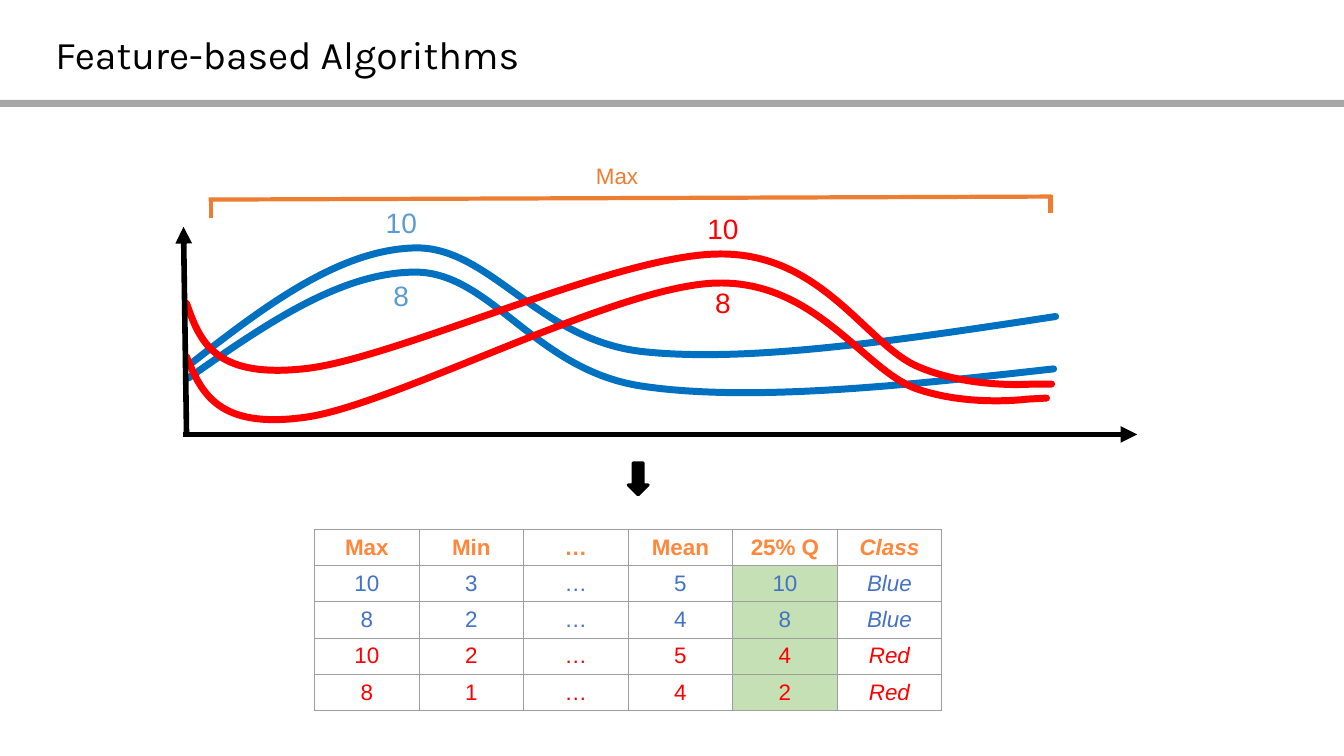
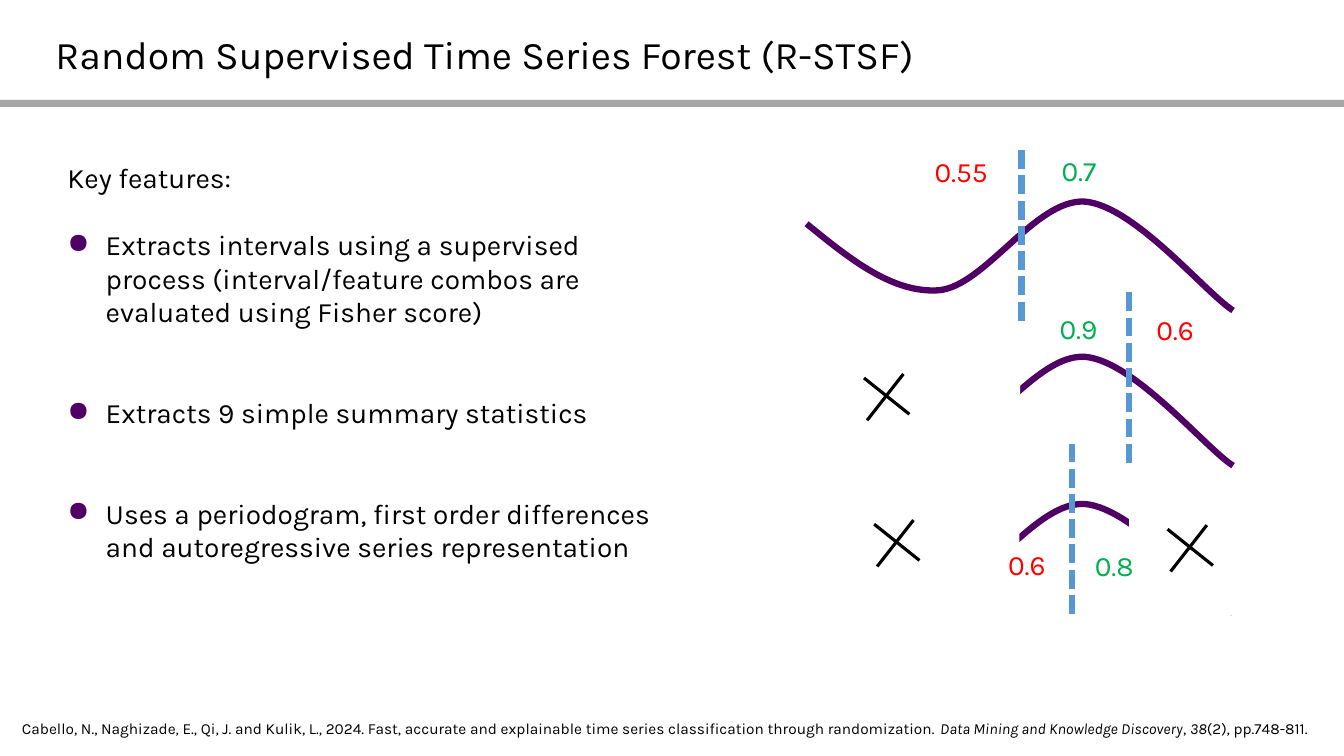
from lxml.etree import SubElement
from pptx import Presentation
from pptx.dml.color import RGBColor
from pptx.enum.dml import MSO_LINE
from pptx.enum.shapes import MSO_CONNECTOR, MSO_SHAPE
from pptx.enum.text import MSO_ANCHOR, MSO_AUTO_SIZE, PP_ALIGN
from pptx.oxml.ns import qn
from pptx.util import Inches, Pt

BLACK, WHITE, GREY, GRID = "000000", "FFFFFF", "A6A6A6", "9E9E9E"
BLUE, PALE_BLUE, TABLE_BLUE, DASH_BLUE = "0070C0", "5B9BD5", "4472C4", "5698D3"
RED, GREEN, PURPLE = "FF0000", "00B050", "500064"
ORANGE, HEADER_ORANGE, HIGHLIGHT = "ED7D31", "FF873C", "C5E0B4"

TITLE_TEXT = {"name": "Karla", "size": Pt(28), "bold": False}
BODY_TEXT = {"name": "Karla", "size": Pt(20)}
CITATION_TEXT = {"name": "Karla", "size": Pt(11)}
PEAK_TEXT = {"name": "Arial", "size": Pt(20)}
SMALL_TEXT = {"name": "Arial", "size": Pt(16)}


def rgb(value):
    return RGBColor.from_string(value)


def apply(target, values):
    for name, value in values.items():
        setattr(target, name, value)


def write(para, text, style, color=BLACK, **extra):
    span = para.add_run()
    span.text = text
    apply(span.font, {**style, **extra})
    span.font.color.rgb = rgb(color)


def indent(para, left, first=0):
    properties = para._p.get_or_add_pPr()
    properties.set("marL", str(Inches(left)))
    properties.set("indent", str(Inches(first)))
    return properties


def add_bullet(para, color):
    properties = indent(para, 0.5, -0.38)
    tint = SubElement(properties, qn("a:buClr"))
    SubElement(tint, qn("a:srgbClr")).set("val", color)
    SubElement(properties, qn("a:buChar")).set("char", "●")


def format_frame(frame, margin, anchor=MSO_ANCHOR.TOP):
    apply(frame, {
        "word_wrap": True, "auto_size": MSO_AUTO_SIZE.NONE, "vertical_anchor": anchor,
        "margin_left": Inches(margin), "margin_right": Inches(margin),
        "margin_top": Inches(margin), "margin_bottom": Inches(margin),
    })


def add_text_box(page, left, top, width, height, margin=0.1):
    box = page.shapes.add_textbox(Inches(left), Inches(top), Inches(width), Inches(height))
    format_frame(box.text_frame, margin)
    return box.text_frame


def add_block(page, kind, left, top, width, height, color):
    block = page.shapes.add_shape(
        kind, Inches(left), Inches(top), Inches(width), Inches(height))
    block.shadow.inherit = False
    block.fill.solid()
    block.fill.fore_color.rgb = rgb(color)
    block.line.fill.background()
    return block


def format_line(line, color, width):
    line.color.rgb = rgb(color)
    line.width = Pt(width)


def add_line(page, start, end, color, width, arrow=False, dashed=False):
    line = page.shapes.add_connector(
        MSO_CONNECTOR.STRAIGHT, *(Inches(value) for value in (*start, *end)))
    format_line(line.line, color, width)
    if dashed:
        line.line.dash_style = MSO_LINE.SQUARE_DOT
    if arrow:
        SubElement(line.line._get_or_add_ln(), qn("a:tailEnd")).set("type", "triangle")
    SubElement(line.element.spPr, qn("a:effectLst"))


def add_curve(page, left, top, points, color, width, cap="flat"):
    places = [(Inches(left + x), Inches(top + y)) for x, y in points]
    builder = page.shapes.build_freeform(*places[0])
    builder.add_line_segments(places[1:], close=False)
    curve = builder.convert_to_shape()
    curve.shadow.inherit = False
    curve.fill.background()
    format_line(curve.line, color, width)
    curve.line._get_or_add_ln().set("cap", cap)
    outline = next(curve.element.iter(qn("a:path")))
    segments = outline.findall(qn("a:lnTo"))
    for index in range(0, len(segments), 3):
        bezier = SubElement(outline, qn("a:cubicBezTo"))
        for segment in segments[index:index + 3]:
            bezier.append(segment[0])
            outline.remove(segment)


def add_page(deck, title):
    page = deck.slides.add_slide(deck.slide_layouts[5])
    add_block(page, MSO_SHAPE.RECTANGLE, 0, 0.99, 13.33, 0.07, GREY)
    apply(page.shapes.title, {
        "left": Inches(0.45), "top": Inches(0.21),
        "width": Inches(12.42), "height": Inches(0.64),
    })
    frame = page.shapes.title.text_frame
    format_frame(frame, 0.1, MSO_ANCHOR.MIDDLE)
    frame.paragraphs[0].alignment = PP_ALIGN.LEFT
    write(frame.paragraphs[0], title, TITLE_TEXT)
    return page


def add_series_chart(page, left, top):
    series = [
        (BLUE, [(0.09, 2.11), (0.82, 1.54), (1.56, 0.98), (2.31, 0.96), (3.06, 0.94),
                (3.53, 1.88), (4.59, 1.99), (5.65, 2.1), (7.16, 1.87), (8.67, 1.64)]),
        (BLUE, [(0.07, 2.25), (0.83, 1.72), (1.59, 1.19), (2.34, 1.2), (3.08, 1.22),
                (3.51, 2.17), (4.56, 2.33), (5.62, 2.49), (7.13, 2.33), (8.65, 2.16)]),
        (RED, [(0.05, 2.04), (0.2, 2.4), (0.36, 2.76), (1.23, 2.64), (2.1, 2.52),
               (4.26, 1.36), (5.27, 1.31), (6.27, 1.26), (6.75, 2.15), (7.27, 2.35),
               (7.79, 2.54), (8.39, 2.46), (8.39, 2.46),
               (8.39, 2.46), (8.58, 2.45), (8.58, 2.45)]),
        (RED, [(0.05, 1.51), (0.18, 1.88), (0.32, 2.25), (1.2, 2.16), (2.09, 2.08),
               (4.32, 1.02), (5.34, 1.02), (6.36, 1.01), (6.8, 1.93), (7.31, 2.14),
               (7.83, 2.36), (8.44, 2.31), (8.44, 2.31),
               (8.44, 2.31), (8.63, 2.31), (8.63, 2.31)]),
    ]
    for color, points in series:
        add_curve(page, left, top, points, color, 5, "rnd")

    axes = [(0.02, 2.81, 9.48, 2.81), (0.05, 2.81, 0.02, 0.75)]
    bracket = [(0.27, 0.48, 8.63, 0.45), (0.29, 0.48, 0.29, 0.66), (8.62, 0.43, 8.62, 0.61)]
    for lines, color, width, arrow in ((axes, BLACK, 4, True), (bracket, ORANGE, 3, False)):
        for x1, y1, x2, y2 in lines:
            add_line(page, (left + x1, top + y1), (left + x2, top + y2), color, width, arrow)

    labels = [
        ("Max", 2.91, 0.11, SMALL_TEXT, ORANGE),
        ("10", 0.77, 0.54, PEAK_TEXT, PALE_BLUE),
        ("8", 0.77, 1.26, PEAK_TEXT, PALE_BLUE),
        ("10", 3.96, 0.6, PEAK_TEXT, RED),
        ("8", 3.96, 1.33, PEAK_TEXT, RED),
    ]
    for text, x, y, style, color in labels:
        para = add_text_box(page, left + x, top + y, 2.82, 0.79, 0).paragraphs[0]
        para.alignment = PP_ALIGN.CENTER
        write(para, text, style, color)


def add_borders(cell):
    properties = cell._tc.get_or_add_tcPr()
    for side in ("lnL", "lnR", "lnT", "lnB"):
        border = SubElement(properties, qn(f"a:{side}"))
        border.set("w", str(Pt(0.75)))
        fill = SubElement(border, qn("a:solidFill"))
        SubElement(fill, qn("a:srgbClr")).set("val", GRID)


def add_feature_table(page, left, top, width, row_height):
    rows = [
        (HEADER_ORANGE, ["Max", "Min", "…", "Mean", "25% Q", "Class"]),
        (TABLE_BLUE, ["10", "3", "…", "5", "10", "Blue"]),
        (TABLE_BLUE, ["8", "2", "…", "4", "8", "Blue"]),
        (RED, ["10", "2", "…", "5", "4", "Red"]),
        (RED, ["8", "1", "…", "4", "2", "Red"]),
    ]
    table = page.shapes.add_table(
        len(rows), 6, Inches(left), Inches(top),
        Inches(width), Inches(row_height * len(rows))).table
    apply(table, {"first_row": False, "horz_banding": False})
    for row_index, (color, texts) in enumerate(rows):
        table.rows[row_index].height = Inches(row_height)
        for column_index, text in enumerate(texts):
            cell = table.cell(row_index, column_index)
            apply(cell, {"vertical_anchor": MSO_ANCHOR.MIDDLE,
                         "margin_top": Inches(0.04), "margin_bottom": Inches(0.04)})
            add_borders(cell)
            if row_index and column_index == 4:
                cell.fill.solid()
                cell.fill.fore_color.rgb = rgb(HIGHLIGHT)
            else:
                cell.fill.background()
            para = cell.text_frame.paragraphs[0]
            para.alignment = PP_ALIGN.CENTER
            write(para, text, SMALL_TEXT, color,
                  bold=row_index == 0, italic=column_index == 5)


def add_key_features(page, left, top, width, height):
    frame = add_text_box(page, left, top, width, height)
    heading = frame.paragraphs[0]
    indent(heading, 0.12)
    heading.line_spacing = Pt(24)
    write(heading, "Key features:", BODY_TEXT)
    features = [
        ("Extracts intervals using a supervised process "
         "(interval/feature combos are evaluated using Fisher score)", 24),
        ("Extracts 9 simple summary statistics", 48),
        ("Uses a periodogram, first order differences "
         "and autoregressive series representation", 48),
    ]
    for text, gap in features:
        para = frame.add_paragraph()
        add_bullet(para, PURPLE)
        apply(para, {"line_spacing": Pt(24), "space_before": Pt(gap)})
        write(para, text, BODY_TEXT)


def add_cross(page, left, top):
    for x1, y1, x2, y2 in ((0, 0.04, 0.45, 0.4), (0.03, 0.46, 0.39, 0)):
        add_line(page, (left + x1, top + y1), (left + x2, top + y2), BLACK, 2.25)


def add_interval_splits(page, left, top):
    wave = [(0, 0.22), (0.43, 0.57), (0.85, 0.91), (1.31, 0.88), (1.77, 0.84),
            (2.27, -0.03), (2.76, 0), (3.25, 0.04), (3.96, 0.91), (4.23, 1.08)]
    for y in (0.58, 2.12, 3.58):
        add_curve(page, left + 0.15, top + y, wave, PURPLE, 4.5)
    for x, y, width in ((0.01, 2.12, 2.26), (0, 3.41, 2.26), (3.35, 3.42, 1.84)):
        add_block(page, MSO_SHAPE.RECTANGLE, left + x, top + y, width, 1.26, WHITE)
    for x, y in ((2.28, 0.07), (3.35, 1.48), (2.78, 2.98)):
        add_line(page, (left + x, top + y), (left + x, top + y + 1.7),
                 DASH_BLUE, 4.5, dashed=True)
    for x, y in ((0.72, 2.29), (0.82, 3.74), (3.73, 3.79)):
        add_cross(page, left + x, top + y)
    scores = [
        ("0.7", 2.46, 0, GREEN), ("0.55", 1.2, 0.01, RED),
        ("0.9", 2.44, 1.57, GREEN), ("0.6", 3.4, 1.58, RED),
        ("0.8", 2.79, 3.92, GREEN), ("0.6", 1.93, 3.91, RED),
    ]
    for text, x, y, color in scores:
        para = add_text_box(page, left + x, top + y, 0.91, 0.6).paragraphs[0]
        indent(para, 0.12)
        write(para, text, BODY_TEXT, color)


def add_citation(page, left, top, width, height):
    para = add_text_box(page, left, top, width, height).paragraphs[0]
    indent(para, 0.12)
    parts = [
        ("Cabello, N., Naghizade, E., Qi, J. and Kulik, L., 2024. Fast, accurate and "
         "explainable time series classification through randomization. ", False),
        ("Data Mining and Knowledge Discovery", True),
        (", ", False),
        ("38", True),
        ("(2), pp.748-811.", False),
    ]
    for text, italic in parts:
        write(para, text, CITATION_TEXT, italic=italic)


def add_algorithms_page(deck):
    page = add_page(deck, "Feature-based Algorithms")
    add_series_chart(page, 1.8, 1.5)
    add_feature_table(page, 3.12, 5.25, 6.22, 0.36)
    arrow = add_block(page, MSO_SHAPE.DOWN_ARROW, 6.23, 4.59, 0.2, 0.32, BLACK)
    format_line(arrow.line, BLACK, 2)


def add_forest_page(deck):
    page = add_page(deck, "Random Supervised Time Series Forest (R-STSF)")
    add_key_features(page, 0.45, 1.49, 6.21, 4.98)
    add_interval_splits(page, 7.85, 1.42)
    add_citation(page, 0, 7.03, 13.33, 0.53)


def main():
    deck = Presentation()
    apply(deck, {"slide_width": Inches(13.33), "slide_height": Inches(7.5)})
    add_algorithms_page(deck)
    add_forest_page(deck)
    deck.save("out.pptx")


if __name__ == "__main__":
    main()
